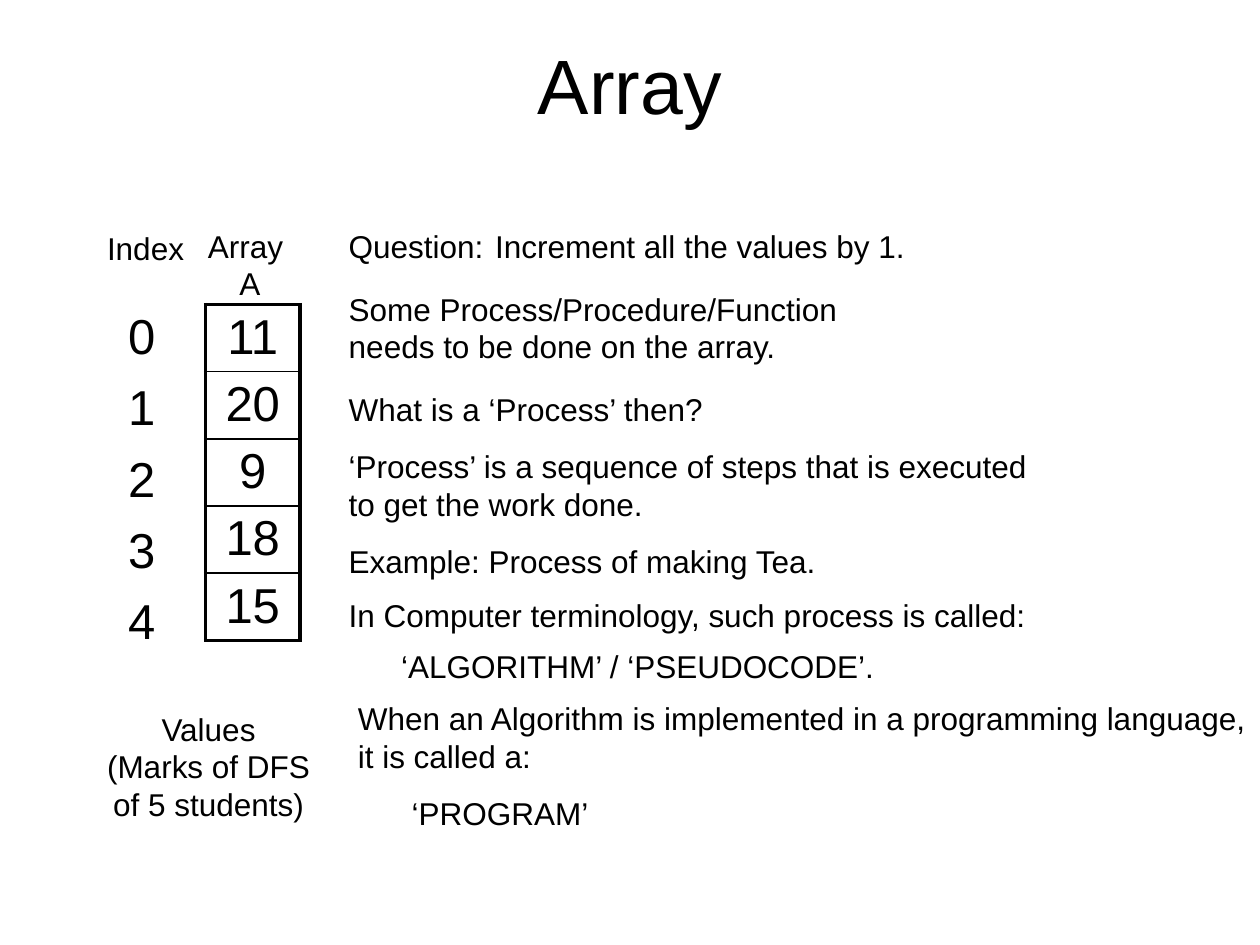
from dataclasses import dataclass

from lxml import etree
from pptx import Presentation
from pptx.dml.color import RGBColor
from pptx.enum.text import MSO_ANCHOR, MSO_AUTO_SIZE, PP_ALIGN
from pptx.oxml.ns import qn
from pptx.util import Pt

CENTER, LEFT = PP_ALIGN.CENTER, PP_ALIGN.LEFT
MIDDLE, TOP = MSO_ANCHOR.MIDDLE, MSO_ANCHOR.TOP
FIT_SHAPE = MSO_AUTO_SIZE.SHAPE_TO_FIT_TEXT


@dataclass(frozen=True)
class Theme:
    """Colours, font and sizes of the slide."""
    ink: str = "000000"
    paper: str = "FFFFFF"
    font: str = "Arial"
    title: int = 44
    value: int = 28
    body: int = 18
    outer_line: float = 2.25
    inner_line: float = 1


THEME = Theme()


def set_all(target, values):
    """Set every attribute named in values on target."""
    for name, value in values.items():
        setattr(target, name, value)


def style_paragraph(paragraph, size, align):
    """Apply the theme font at a size and alignment."""
    paragraph.alignment = align
    set_all(paragraph.font, {"name": THEME.font, "size": Pt(size)})
    paragraph.font.color.rgb = RGBColor.from_string(THEME.ink)


def add_label(slide, left, top, width, lines, align=LEFT):
    """Add body text whose height follows its number of lines."""
    height = 28.8 + 21.6 * (len(lines) - 1)
    label = slide.shapes.add_textbox(Pt(left), Pt(top), Pt(width), Pt(height))
    frame = label.text_frame
    set_all(frame, {"text": "\n".join(lines), "word_wrap": False, "auto_size": FIT_SHAPE})
    for paragraph in frame.paragraphs:
        style_paragraph(paragraph, THEME.body, align)


def add_title(slide, left, top, width, height):
    """Add the centred slide title."""
    title = slide.shapes.add_textbox(Pt(left), Pt(top), Pt(width), Pt(height))
    frame = title.text_frame
    set_all(frame, {"text": "Array", "word_wrap": True, "vertical_anchor": MIDDLE})
    style_paragraph(frame.paragraphs[0], THEME.title, CENTER)


def add_borders(cell, widths):
    """Draw the cell's side lines, ahead of its fill."""
    properties = cell._tc.get_or_add_tcPr()
    for position, (side, width) in enumerate(widths.items()):
        line = etree.Element(qn(f"a:{side}"), w=str(Pt(width)))
        fill = etree.SubElement(line, qn("a:solidFill"))
        etree.SubElement(fill, qn("a:srgbClr"), val=THEME.ink)
        properties.insert(position, line)


def add_column(slide, left, top, width, row_height, entries, boxed):
    """Add a one-column table, optionally with a heavy frame."""
    count = len(entries)
    table = slide.shapes.add_table(
        count, 1, Pt(left), Pt(top), Pt(width), Pt(row_height * count)).table
    set_all(table, {"first_row": False, "horz_banding": False})
    for row, entry in enumerate(entries):
        table.rows[row].height = Pt(row_height)
        cell = table.cell(row, 0)
        set_all(cell, {"text": str(entry), "vertical_anchor": TOP,
                       "margin_top": Pt(3.2), "margin_bottom": Pt(0)})
        style_paragraph(cell.text_frame.paragraphs[0], THEME.value, CENTER)
        cell.fill.background()
        if boxed:
            add_borders(cell, {
                "lnL": THEME.outer_line,
                "lnR": THEME.outer_line,
                "lnT": THEME.inner_line if row else THEME.outer_line,
                "lnB": THEME.inner_line if row < count - 1 else THEME.outer_line,
            })


def add_array(slide, left, top):
    """Add the index and value columns with their labels."""
    marks = [11, 20, 9, 18, 15]
    add_column(slide, left + 63.4, top + 48, 54, 38.4, marks, True)
    add_column(slide, left, top + 48, 54, 40.8, range(len(marks)), False)
    add_label(slide, left, top + 1.4, 58.3, ["Index"], CENTER)
    add_label(slide, left + 57.6, top, 62.6, ["Array ", "A"], CENTER)
    add_label(slide, left, top + 276, 130.3,
              ["Values", "(Marks of DFS", "of 5 students)"], CENTER)


def add_notes(slide, left, top):
    """Add the question and the explanation beside the array."""
    notes = [
        (0, 0, 91.4, ["Question:"]),
        (83.6, 0, 248.4, ["Increment all the values by 1."]),
        (0, 36, 298.8, ["Some Process/Procedure/Function",
                        "needs to be done on the array."]),
        (0, 93.6, 217.4, ["What is a ‘Process’ then?"]),
        (0, 126, 407.5, ["‘Process’ is a sequence of steps that is executed",
                         "to get the work done."]),
        (0, 180, 283.7, ["Example: Process of making Tea."]),
        (0, 211, 402.5, ["In Computer terminology, such process is called:"]),
        (30, 240, 285.8, ["‘ALGORITHM’ / ‘PSEUDOCODE’."]),
        (5.2, 270, 522.7, ["When an Algorithm is implemented in a programming language,",
                           "it is called a:"]),
        (36, 324, 115.2, ["‘PROGRAM’"]),
    ]
    for indent, drop, width, lines in notes:
        add_label(slide, left + indent, top + drop, width, lines)


def main():
    """Build and save the slide."""
    deck = Presentation()
    set_all(deck, {"slide_width": Pt(720), "slide_height": Pt(540)})
    slide = deck.slides.add_slide(deck.slide_layouts[6])
    slide.background.fill.solid()
    slide.background.fill.fore_color.rgb = RGBColor.from_string(THEME.paper)
    add_title(slide, 54, 18, 612, 60)
    add_array(slide, 54, 126)
    add_notes(slide, 192.2, 126)
    deck.save("out.pptx")


if __name__ == "__main__":
    main()
